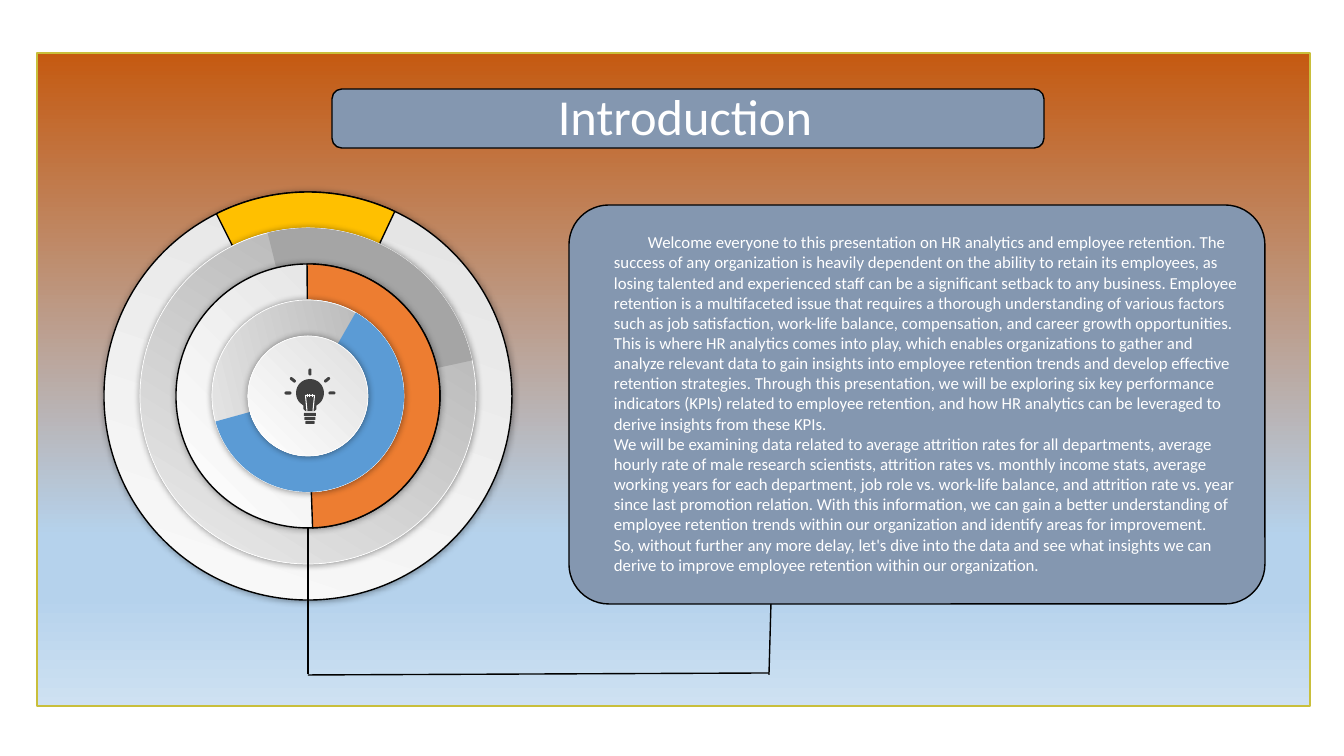
from math import cos, radians, sin

from lxml import etree
from pptx import Presentation
from pptx.dml.color import RGBColor
from pptx.enum.shapes import MSO_CONNECTOR, MSO_SHAPE as SHAPE
from pptx.enum.text import MSO_AUTO_SIZE, PP_ALIGN
from pptx.oxml.ns import qn
from pptx.util import Pt

EMU_PER_PX = 914400 / 100.8
FONT = "Calibri"

BLACK = RGBColor(0x00, 0x00, 0x00)
WHITE = RGBColor(0xFF, 0xFF, 0xFF)
SLATE = RGBColor(0x84, 0x97, 0xB0)
GOLD_EDGE = RGBColor(0xC9, 0xBF, 0x3B)
YELLOW = RGBColor(0xFF, 0xC0, 0x00)
GREY = RGBColor(0xA5, 0xA5, 0xA5)
ORANGE = RGBColor(0xED, 0x7D, 0x31)
BLUE = RGBColor(0x5B, 0x9B, 0xD5)
BULB_GREY = RGBColor(0x40, 0x40, 0x40)
SKY = RGBColor(0xB5, 0xD2, 0xEC)

SUNSET = [(0, RGBColor(0xC5, 0x5A, 0x11)), (74, SKY), (83, SKY),
          (100, RGBColor(0xCE, 0xE1, 0xF2))]
PALE = [(0, RGBColor(0xDE, 0xDE, 0xDE)), (100, WHITE)]
SILVER = [(0, RGBColor(0xA6, 0xA6, 0xA6)), (100, RGBColor(0xF2, 0xF2, 0xF2))]

# Rings from outside in: rotation, gradient, edge, wedge (start, end, colour, edge)
BLACK_EDGE, WHITE_EDGE = (BLACK, 1), (WHITE, 0.5)
RINGS = [
    (334, PALE, BLACK_EDGE, (269.33, 321.19, YELLOW, BLACK_EDGE)),
    (347, SILVER, WHITE_EDGE, (269.1, 0.77, GREY, None)),
    (0, PALE, BLACK_EDGE, (269.61, 87.97, ORANGE, BLACK_EDGE)),
    (31.2, SILVER, WHITE_EDGE, (268.59, 133.32, BLUE, None)),
    (0, PALE, WHITE_EDGE, None),
]
RING_CENTRE = (308, 396)
OUTER_RADIUS, RING_STEP = 204, 36

INTRODUCTION = [
    "Welcome everyone to this presentation on HR analytics and employee retention. "
    "The success of any organization is heavily dependent on the ability to retain its "
    "employees, as losing talented and experienced staff can be a significant setback to "
    "any business. Employee retention is a multifaceted issue that requires a thorough "
    "understanding of various factors such as job satisfaction, work-life balance, "
    "compensation, and career growth opportunities.",
    "This is where HR analytics comes into play, which enables organizations to gather and "
    "analyze relevant data to gain insights into employee retention trends and develop "
    "effective retention strategies. Through this presentation, we will be exploring six key "
    "performance indicators (KPIs) related to employee retention, and how HR analytics can "
    "be leveraged to derive insights from these KPIs.",
    "We will be examining data related to average attrition rates for all departments, "
    "average hourly rate of male research scientists, attrition rates vs. monthly income "
    "stats, average working years for each department, job role vs. work-life balance, and "
    "attrition rate vs. year since last promotion relation. With this information, we can "
    "gain a better understanding of employee retention trends within our organization and "
    "identify areas for improvement.",
    "So, without further any more delay, let's dive into the data and see what insights we "
    "can derive to improve employee retention within our organization.",
]


def px(length):
    return round(length * EMU_PER_PX)


def set_edge(shape, edge):
    if edge is None:
        shape.line.fill.background()
    else:
        shape.line.color.rgb, shape.line.width = edge[0], Pt(edge[1])


def add_block(slide, kind, box, colour=None, edge=None, rotation=0):
    block = slide.shapes.add_shape(kind, *map(px, box))
    block.shadow.inherit = False
    block.rotation = rotation
    if colour is not None:
        block.fill.solid()
        block.fill.fore_color.rgb = colour
    set_edge(block, edge)
    return block


def set_gradient(shape, stops, angle):
    shape.fill.gradient()
    shape.fill.gradient_angle = 360 - angle
    stop_list = shape._element.spPr.find(qn("a:gradFill")).find(qn("a:gsLst"))
    for stop in list(stop_list):
        stop_list.remove(stop)
    for percent, colour in stops:
        stop = etree.SubElement(stop_list, qn("a:gs"), pos=str(percent * 1000))
        etree.SubElement(stop, qn("a:srgbClr"), val=str(colour))


def add_glow_shadow(shape):
    effects = shape._element.spPr.find(qn("a:effectLst"))
    shadow = etree.SubElement(effects, qn("a:outerShdw"), blurRad=str(Pt(5)), dist="0",
                              dir="0", algn="ctr", rotWithShape="0")
    colour = etree.SubElement(shadow, qn("a:srgbClr"), val=str(BLACK))
    etree.SubElement(colour, qn("a:alpha"), val="40000")


def add_ring(slide, radius, rotation, stops, edge, wedge):
    x, y = RING_CENTRE
    box = (x - radius, y - radius, 2 * radius, 2 * radius)
    disc = add_block(slide, SHAPE.OVAL, box, edge=edge, rotation=rotation)
    set_gradient(disc, stops, 135)
    add_glow_shadow(disc)
    if wedge:
        start, end, colour, wedge_edge = wedge
        pie = add_block(slide, SHAPE.PIE, box, colour, wedge_edge, rotation)
        # Angles are stored in 60000ths of a degree, adjustments in 100000ths
        pie.adjustments[0], pie.adjustments[1] = start * 0.6, end * 0.6


def add_outline(slide, points, close):
    """Build a freeform from points given in tenths of a px."""
    builder = slide.shapes.build_freeform(*points[0], scale=EMU_PER_PX / 10)
    builder.add_line_segments(points[1:], close=close)
    outline = builder.convert_to_shape()
    outline.shadow.inherit = False
    return outline


def add_bulb(slide):
    x, y, radius = 310, 393, 14
    # Glass and neck
    glass_points = [(round(10 * (x + radius * cos(radians(a)))),
                     round(10 * (y + radius * sin(radians(a)))))
                    for a in range(135, 406, 10)]
    neck = [(3165, 4055), (3165, 4090), (3145, 4112),
            (3055, 4112), (3035, 4090), (3035, 4055)]
    glass = add_outline(slide, glass_points + neck, True)
    glass.fill.solid()
    glass.fill.fore_color.rgb = BULB_GREY
    set_edge(glass, None)

    # Filament
    filament = [(3070, 4108), (3055, 3955), (3145, 3955), (3130, 4108)]
    loops = [[(left, 3975), (left, 3940)] for left in (3078, 3100, 3122)]
    for points in [filament] + loops:
        wire = add_outline(slide, points, False)
        wire.fill.background()
        set_edge(wire, (WHITE, 0.75))

    # Screw base
    for row, width in enumerate((12, 11, 9)):
        add_block(slide, SHAPE.ROUNDED_RECTANGLE,
                  (x - width / 2, 413 + 4 * row, width, 3), BULB_GREY)

    # Rays
    for angle in (180, 219, 270, 321, 360):
        ray_x = x + 22 * cos(radians(angle))
        ray_y = y + 21 * sin(radians(angle))
        ray = add_block(slide, SHAPE.ROUNDED_RECTANGLE, (ray_x - 3.5, ray_y - 1.5, 7, 3),
                        BULB_GREY, rotation=angle)
        ray.adjustments[0] = 0.5


def add_text(slide, box, paragraphs, size, align=PP_ALIGN.LEFT):
    text_box = slide.shapes.add_textbox(*map(px, box))
    frame = text_box.text_frame
    frame.word_wrap = True
    frame.auto_size = MSO_AUTO_SIZE.SHAPE_TO_FIT_TEXT
    frame.text = "\n".join(paragraphs)
    for paragraph in frame.paragraphs:
        paragraph.alignment = align
        font = paragraph.font
        font.name, font.size, font.color.rgb = FONT, Pt(size), WHITE
    return frame


def add_line(slide, start, end):
    line = slide.shapes.add_connector(MSO_CONNECTOR.STRAIGHT, *map(px, start + end))
    set_edge(line, BLACK_EDGE)
    etree.SubElement(line._element.spPr, qn("a:effectLst"))


def main():
    presentation = Presentation()
    presentation.slide_width, presentation.slide_height = px(1344), px(756)
    slide = presentation.slides.add_slide(presentation.slide_layouts[6])

    # Backdrop
    backdrop = add_block(slide, SHAPE.RECTANGLE, (37, 53, 1273, 653), edge=(GOLD_EDGE, 1))
    set_gradient(backdrop, SUNSET, 90)

    # Ring emblem
    for index, ring in enumerate(RINGS):
        add_ring(slide, OUTER_RADIUS - index * RING_STEP, *ring)
    add_bulb(slide)

    # Introduction card
    card = add_block(slide, SHAPE.ROUNDED_RECTANGLE, (569, 205, 696, 399), SLATE, BLACK_EDGE)
    card.adjustments[0] = 0.1
    welcome = add_text(slide, (604, 227, 647, 377), INTRODUCTION, 12).paragraphs[0]
    welcome._p.get_or_add_pPr().set("indent", str(px(34)))

    # Title
    add_block(slide, SHAPE.ROUNDED_RECTANGLE, (332, 89, 712, 59), SLATE, BLACK_EDGE)
    add_text(slide, (406, 80, 558, 72), ["Introduction"], 36, PP_ALIGN.CENTER)

    # Line from emblem to card
    add_line(slide, (308, 675), (769, 673))
    add_line(slide, (769, 675), (771, 604))
    add_line(slide, (308, 528), (308, 674))

    presentation.save("out.pptx")


if __name__ == "__main__":
    main()
